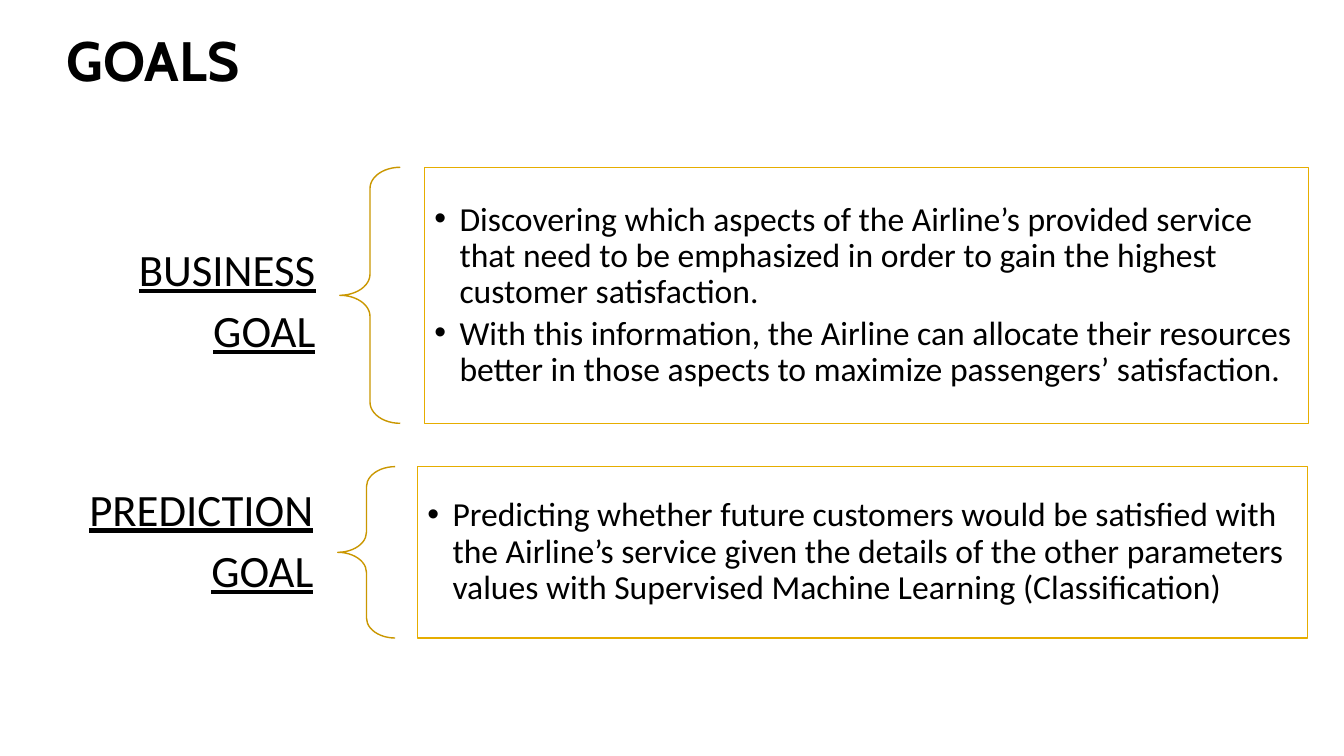
from lxml import etree
from pptx import Presentation
from pptx.dml.color import RGBColor
from pptx.enum.shapes import MSO_SHAPE
from pptx.enum.text import MSO_ANCHOR, PP_ALIGN
from pptx.oxml.ns import qn
from pptx.util import Inches, Pt

BLACK = RGBColor(0x00, 0x00, 0x00)
WHITE = RGBColor(0xFF, 0xFF, 0xFF)
BRACE_GOLD = RGBColor(0xCA, 0x97, 0x00)
BOX_GOLD = RGBColor(0xE6, 0xAD, 0x00)

# label, label box, brace box, details box, label anchor, details
GOALS = [
    ("BUSINESS GOAL",
     (0.58, 1.56, 2.8, 2.74), (3.37, 1.66, 0.6, 2.54), (4.21, 1.66, 8.77, 2.54),
     MSO_ANCHOR.MIDDLE,
     ["Discovering which aspects of the Airline’s provided service that need to be "
      "emphasized in order to gain the highest customer satisfaction.",
      "With this information, the Airline can allocate their resources better in "
      "those aspects to maximize passengers’ satisfaction."]),
    ("PREDICTION GOAL",
     (0.58, 4.61, 2.78, 1.73), (3.35, 4.63, 0.57, 1.7), (4.14, 4.63, 8.83, 1.7),
     MSO_ANCHOR.TOP,
     ["Predicting whether future customers would be satisfied with the Airline’s "
      "service given the details of the other parameters values with Supervised "
      "Machine Learning (Classification)"]),
]


def set_frame(tf, anchor, side, edge):
    """Wrap the text and set its anchor and margins."""
    tf.word_wrap = True
    tf.vertical_anchor = anchor
    tf.margin_left = tf.margin_right = Inches(side)
    tf.margin_top = tf.margin_bottom = Inches(edge)


def add_run(p, text, size, font="Calibri", bold=False, underline=False):
    r = p.add_run()
    r.text = text
    r.font.name = font
    r.font.size = Pt(size)
    r.font.bold = bold
    r.font.underline = underline
    r.font.color.rgb = BLACK


def add_bullet(p):
    pPr = p._p.get_or_add_pPr()
    pPr.set("marL", str(Inches(0.25)))
    pPr.set("indent", str(-Inches(0.25)))
    etree.SubElement(pPr, qn("a:buFont"), typeface="Arial")
    etree.SubElement(pPr, qn("a:buChar"), char="•")


def add_title(s, text):
    title = s.shapes.title
    title.left, title.top = Inches(0.56), Inches(0.31)
    title.width, title.height = Inches(12.21), Inches(0.65)
    set_frame(title.text_frame, MSO_ANCHOR.MIDDLE, 0.1, 0.05)
    p = title.text_frame.paragraphs[0]
    p.alignment = PP_ALIGN.LEFT
    p.line_spacing = 0.9
    add_run(p, text, 39.6, font="Cabin", bold=True)


def add_label(s, text, box, anchor):
    tf = s.shapes.add_textbox(*map(Inches, box)).text_frame
    set_frame(tf, anchor, 0.25, 0.09)
    p = tf.paragraphs[0]
    p.alignment = PP_ALIGN.RIGHT
    p.line_spacing = 1.14
    add_run(p, text, 32, underline=True)


def add_outlined(s, kind, box, color):
    sp = s.shapes.add_shape(kind, *map(Inches, box))
    sp.shadow.inherit = False
    sp.line.color.rgb = color
    sp.line.width = Pt(1)
    return sp


def add_brace(s, box):
    sp = add_outlined(s, MSO_SHAPE.LEFT_BRACE, box, BRACE_GOLD)
    sp.fill.background()
    sp.adjustments[0] = 0.35
    sp.adjustments[1] = 0.5


def add_details(s, box, items):
    sp = add_outlined(s, MSO_SHAPE.RECTANGLE, box, BOX_GOLD)
    sp.fill.solid()
    sp.fill.fore_color.rgb = WHITE
    tf = sp.text_frame
    set_frame(tf, MSO_ANCHOR.MIDDLE, 0.1, 0.1)
    for i, item in enumerate(items):
        p = tf.add_paragraph() if i else tf.paragraphs[0]
        p.alignment = PP_ALIGN.LEFT
        p.line_spacing = 0.9
        p.space_before = Pt(3.6 if i else 0)
        add_bullet(p)
        add_run(p, item, 24)


def main():
    prs = Presentation()
    prs.slide_width, prs.slide_height = Inches(13.33), Inches(7.5)
    s = prs.slides.add_slide(prs.slide_layouts[5])
    add_title(s, "GOALS")
    for label, label_box, brace_box, details_box, anchor, items in GOALS:
        add_label(s, label, label_box, anchor)
        add_brace(s, brace_box)
        add_details(s, details_box, items)
    prs.save("out.pptx")


if __name__ == "__main__":
    main()
